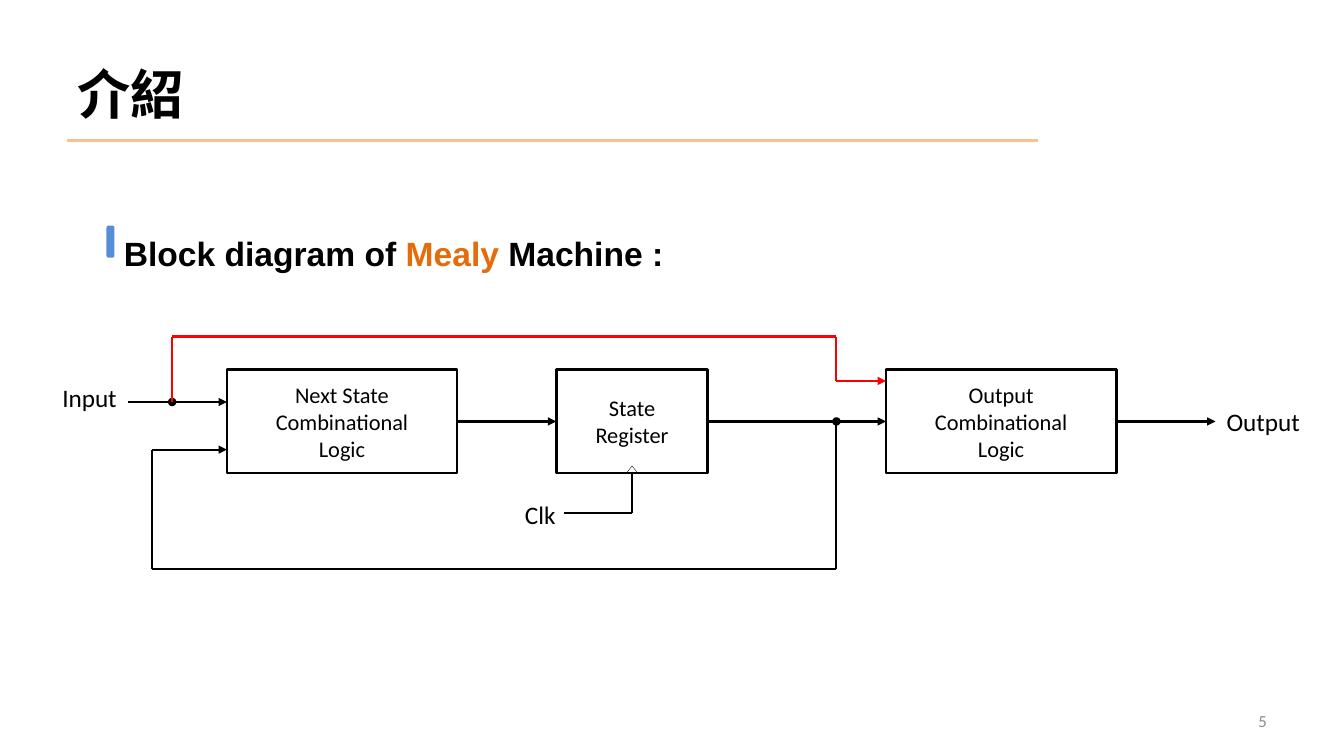
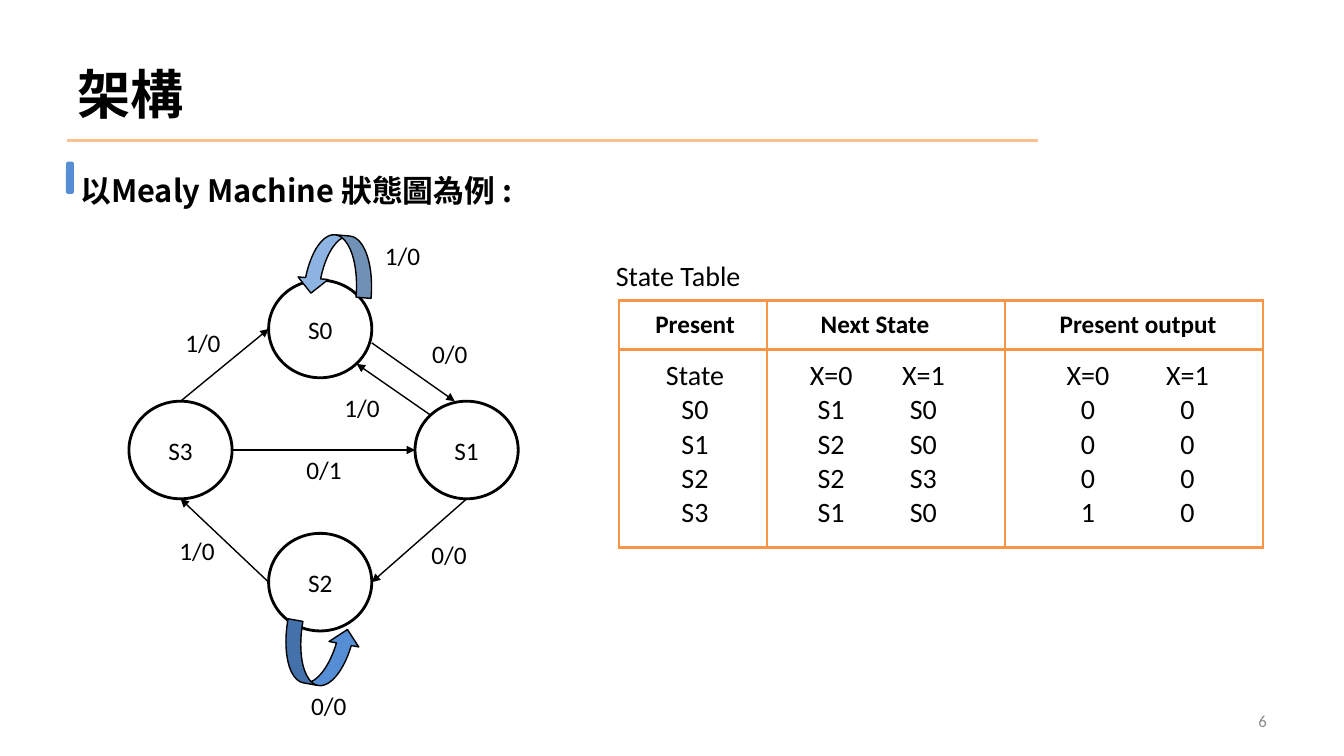
from itertools import pairwise

from lxml import etree
from pptx import Presentation
from pptx.dml.color import RGBColor
from pptx.enum.shapes import MSO_CONNECTOR, MSO_SHAPE
from pptx.enum.text import MSO_ANCHOR, PP_ALIGN
from pptx.oxml.ns import qn
from pptx.util import Cm, Pt

STRAIGHT = MSO_CONNECTOR.STRAIGHT
RECT, OVAL, TRIANGLE = MSO_SHAPE.RECTANGLE, MSO_SHAPE.OVAL, MSO_SHAPE.ISOSCELES_TRIANGLE
ROUNDED, LOOP = MSO_SHAPE.ROUNDED_RECTANGLE, MSO_SHAPE.CURVED_UP_ARROW
LEFT, CENTER, RIGHT = PP_ALIGN.LEFT, PP_ALIGN.CENTER, PP_ALIGN.RIGHT
TOP, MIDDLE, BOTTOM = MSO_ANCHOR.TOP, MSO_ANCHOR.MIDDLE, MSO_ANCHOR.BOTTOM

rgb = RGBColor.from_string
BLACK, WHITE, GRAY, RED = "000000", "FFFFFF", "8C8C8C", "FF0000"
BLUE, PALE_BLUE = "558ED5", "8EB4E3"
ORANGE, PEACH, DARK_ORANGE = "F79646", "FAC090", "E46C0A"
LATIN, CJK = "Calibri", "Noto Sans CJK SC"


def write(tf, text, size, name=LATIN, color=BLACK, bold=False, align=LEFT):
    """Fill the first paragraph; text is a string or a list of (text, colour)."""
    tf.word_wrap = True
    p = tf.paragraphs[0]
    p.alignment = align
    p.font.size, p.font.bold = Pt(size), bold
    p.font.color.rgb = rgb(color)
    p.font.name = name
    etree.SubElement(p._p.pPr.find(qn("a:defRPr")), qn("a:ea"), typeface=name)
    for part, tint in [(text, None)] if isinstance(text, str) else text:
        r = p.add_run()
        r.text = part
        if tint:
            r.font.color.rgb = rgb(tint)
    return p


def draw_path(slide, points, color=BLACK, width=1.5, arrow=True):
    """Draw straight segments through the points, with the arrowhead on the last."""
    segments = []
    for start, end in pairwise(points):
        c = slide.shapes.add_connector(STRAIGHT, *(Cm(v) for v in start + end))
        c.line.color.rgb = rgb(color)
        c.line.width = Pt(width)
        etree.SubElement(c._element.spPr, qn("a:effectLst"))
        segments.append(c)
    if arrow:
        ln = segments[-1]._element.spPr.find(qn("a:ln"))
        etree.SubElement(ln, qn("a:tailEnd"), type="triangle")
    return segments


prs = Presentation()
prs.slide_width, prs.slide_height = Cm(33.87), Cm(19.05)

# Block diagram grid
BOX_Y, BOX_H = 9.32, 2.6
MID_Y, BOX_END = BOX_Y + BOX_H / 2, BOX_Y + BOX_H
NEXT_X, REG_X, OUT_X = 5.72, 14.02, 22.33
WIDE, NARROW = 5.8, 3.82
CLK_X = REG_X + NARROW / 2
INPUT_Y, INPUT_TAP, STATE_TAP = 10.13, 4.34, 21.08
DOT = 0.14

# State diagram grid
ST_W, ST_H = 2.6, 2.46
S0_X, S1_X, S3_X = 6.77, 10.46, 3.25
S0_Y, S1_Y, S2_Y = 7.06, 10.11, 13.44

# Shapes: kind, left, top, width, height, rotation, fill, line width, text, text size
mealy_shapes = [
    (RECT, NEXT_X, BOX_Y, WIDE, BOX_H, 0, WHITE, 2, "Next State Combinational Logic", 16),
    (RECT, REG_X, BOX_Y, NARROW, BOX_H, 0, WHITE, 2, "State Register", 16),
    (RECT, OUT_X, BOX_Y, WIDE, BOX_H, 0, WHITE, 2, "Output Combinational Logic", 16),
    (TRIANGLE, CLK_X - 0.14, BOX_END - 0.18, 0.28, 0.18, 0, None, 0.25, "", 0),
    (OVAL, STATE_TAP - DOT / 2, MID_Y - DOT / 2, DOT, DOT, 0, BLACK, 2, "", 0),
    (OVAL, INPUT_TAP - DOT / 2, INPUT_Y - DOT / 2, DOT, DOT, 0, BLACK, 2, "", 0),
]
state_shapes = [
    (OVAL, S0_X, S0_Y, ST_W, ST_H, 0, None, 2, "S0", 18),
    (OVAL, S0_X, S2_Y, ST_W, ST_H, 0, None, 2, "S2", 18),
    (OVAL, S1_X, S1_Y, ST_W, ST_H, 0, None, 2, "S1", 18),
    (OVAL, S3_X, S1_Y, ST_W, ST_H, 0, None, 2, "S3", 18),
    (LOOP, 7.52, 5.92, 1.9, 1.52, 185, PALE_BLUE, 1, "", 0),
    (LOOP, 7.11, 15.75, 1.9, 1.52, 10.3, BLUE, 1, "", 0),
]

# Labels: text, left, top, size
mealy_labels = [("Input", 1.32, 9.52, 18), ("Clk", 12.98, 12.47, 18), ("Output", 30.66, 10.11, 18)]
state_labels = [
    ("1/0", 9.45, 5.92, 18), ("0/0", 10.64, 8.41, 18), ("1/0", 8.43, 9.75, 18),
    ("1/0", 4.42, 8.13, 18), ("0/1", 7.47, 11.33, 18), ("1/0", 4.27, 13.36, 18),
    ("0/0", 10.62, 13.46, 18), ("0/0", 7.59, 17.27, 18), ("State Table", 15.27, 6.4, 20),
]

# Pages: title, heading, its font and size, heading box, marker corner, shapes, labels
pages = [
    ("介紹", [("Block diagram of ", None), ("Mealy", DARK_ORANGE), (" Machine :", None)],
     "Arial", 24, (2.87, 4.72, 28, 3.56), (2.72, 5.72), mealy_shapes, mealy_labels),
    ("架構", "以Mealy Machine 狀態圖為例 :",
     CJK, 22, (1.78, 3.28, 28, 1.85), (1.7, 4.11), state_shapes, state_labels),
]

slides, drawn = [], {}
for number, page in enumerate(pages, 5):
    title, heading, name, size, heading_box, marker, shapes, labels = page
    slide = prs.slides.add_slide(prs.slide_layouts[6])
    slides.append(slide)

    tf = slide.shapes.add_textbox(Cm(1.7), Cm(0.76), Cm(30.48), Cm(3.18)).text_frame
    tf.vertical_anchor = MIDDLE
    write(tf, title, 38, CJK, bold=True)
    draw_path(slide, [(1.7, 3.53), (26.16, 3.53)], PEACH, 2.25, arrow=False)
    tf = slide.shapes.add_textbox(Cm(24.28), Cm(17.65), Cm(7.9), Cm(1.02)).text_frame
    tf.vertical_anchor = MIDDLE
    write(tf, str(number), 12, color=GRAY, align=RIGHT)

    tf = slide.shapes.add_textbox(*(Cm(v) for v in heading_box)).text_frame
    write(tf, heading, size, name, bold=True).line_spacing = 2.0

    bar = (ROUNDED, *marker, 0.13, 0.74, 0, BLUE, 2, "", 0)
    for kind, x, y, w, h, rotation, fill, width, text, text_size in [bar] + shapes:
        sp = slide.shapes.add_shape(kind, Cm(x), Cm(y), Cm(w), Cm(h))
        sp.shadow.inherit = False
        sp.rotation = rotation
        if fill:
            sp.fill.solid()
            sp.fill.fore_color.rgb = rgb(fill)
        else:
            sp.fill.background()
        sp.line.color.rgb = rgb(BLUE if kind == ROUNDED else BLACK)
        sp.line.width = Pt(width)
        if text:
            tf = sp.text_frame
            tf.vertical_anchor = MIDDLE
            tf.margin_left = tf.margin_right = Cm(0.7 if kind == RECT else 0)
            write(tf, text, text_size, align=CENTER)
            drawn[text] = sp

    for text, x, y, text_size in labels:
        w = 5 if text_size == 20 else 2.5
        write(slide.shapes.add_textbox(Cm(x), Cm(y), Cm(w), Cm(1.02)).text_frame, text, text_size)

# Block diagram wiring
mealy, states = slides
next_box, register, out_box = (drawn[row[8]] for row in mealy_shapes[:3])
for x_from, x_to, source, target in [
    (NEXT_X + WIDE, REG_X, next_box, register),
    (REG_X + NARROW, OUT_X, register, out_box),
    (OUT_X + WIDE, 30.63, out_box, None),
]:
    wire = draw_path(mealy, [(x_from, MID_Y), (x_to, MID_Y)])[0]
    wire.begin_connect(source, 3)
    if target:
        wire.end_connect(target, 1)
draw_path(mealy, [(3.23, INPUT_Y), (NEXT_X, INPUT_Y)])
draw_path(mealy, [(STATE_TAP, MID_Y), (STATE_TAP, 14.33), (3.84, 14.33), (3.84, 11.33),
                  (NEXT_X, 11.33)])
clock = draw_path(mealy, [(CLK_X, BOX_END), (CLK_X, 12.93), (14.22, 12.93)], arrow=False)
clock[0].begin_connect(register, 2)
draw_path(mealy, [(INPUT_TAP, INPUT_Y), (INPUT_TAP, 8.48), (STATE_TAP, 8.48),
                  (STATE_TAP, 9.6), (OUT_X, 9.6)], RED)

# State transitions
S0_MID, S1_MID, S2_MID = (y + ST_H / 2 for y in (S0_Y, S1_Y, S2_Y))
S1_CX, S3_CX = S1_X + ST_W / 2, S3_X + ST_W / 2
for start, end in [
    ((S0_X + ST_W, 8.64), (11.46, S1_Y)),
    ((10.85, 10.46), (8.99, 9.17)),
    ((S1_CX, S1_Y + ST_H), (S0_X + ST_W, S2_MID)),
    ((S3_CX, S1_Y), (S0_X, S0_MID)),
    ((S3_X + ST_W, S1_MID), (S1_X, S1_MID)),
    ((S0_X, S2_MID), (S3_CX, S1_Y + ST_H)),
]:
    draw_path(states, [start, end], width=1)

# State table
header = ["Present", "Next State", "", "Present output", ""]
rows = [
    header,
    ["State", "X=0", "X=1", "X=0", "X=1"],
    ["S0", "S1", "S0", "0", "0"],
    ["S1", "S2", "S0", "0", "0"],
    ["S2", "S2", "S3", "0", "0"],
    ["S3", "S1", "S0", "1", "0"],
]
col_widths = [3.73, 2.77, 3.23, 3.33, 3.17]
row_heights = [1.24, 1.1, 0.86, 0.86, 0.86, 1.31]
header_margins = [(0.1, 0), (0, 0.56), (0, 0), (0.2, 0), (0, 0)]
body_margins = [(0.1, 0), (0.46, 0), (0, 0.89), (0.84, 0), (0, 0.64)]

table = states.shapes.add_table(6, 5, Cm(15.6), Cm(7.57), Cm(sum(col_widths)),
                                Cm(sum(row_heights))).table
table.first_row = table.horz_banding = False
for column, width in zip(table.columns, col_widths):
    column.width = Cm(width)
for row, height in zip(table.rows, row_heights):
    row.height = Cm(height)
for c in (1, 3):
    table.cell(0, c).merge(table.cell(0, c + 1))

for r, texts in enumerate(rows):
    for c, text in enumerate(texts):
        cell = table.cell(r, c)
        cell.fill.solid()
        cell.fill.fore_color.rgb = rgb(WHITE)
        left, right = (body_margins if r else header_margins)[c]
        cell.margin_left, cell.margin_right = Cm(left), Cm(right)
        cell.margin_top = cell.margin_bottom = 0
        cell.vertical_anchor = {0: MIDDLE, 1: BOTTOM}.get(r, TOP)
        write(cell.text_frame, text, 20 if r else 18, bold=r == 0, align=CENTER)
        edges = {"L": c in (0, 1, 3), "R": r == 0 or c in (0, 2, 4),
                 "T": r < 2, "B": r in (0, 5)}
        for i, (side, visible) in enumerate(edges.items()):
            ln = etree.Element(qn(f"a:ln{side}"), w=str(Pt(2.25)))
            if visible:
                fill = etree.SubElement(ln, qn("a:solidFill"))
                etree.SubElement(fill, qn("a:srgbClr"), val=ORANGE)
            else:
                etree.SubElement(ln, qn("a:noFill"))
            cell._tc.tcPr.insert(i, ln)

prs.save("out.pptx")
